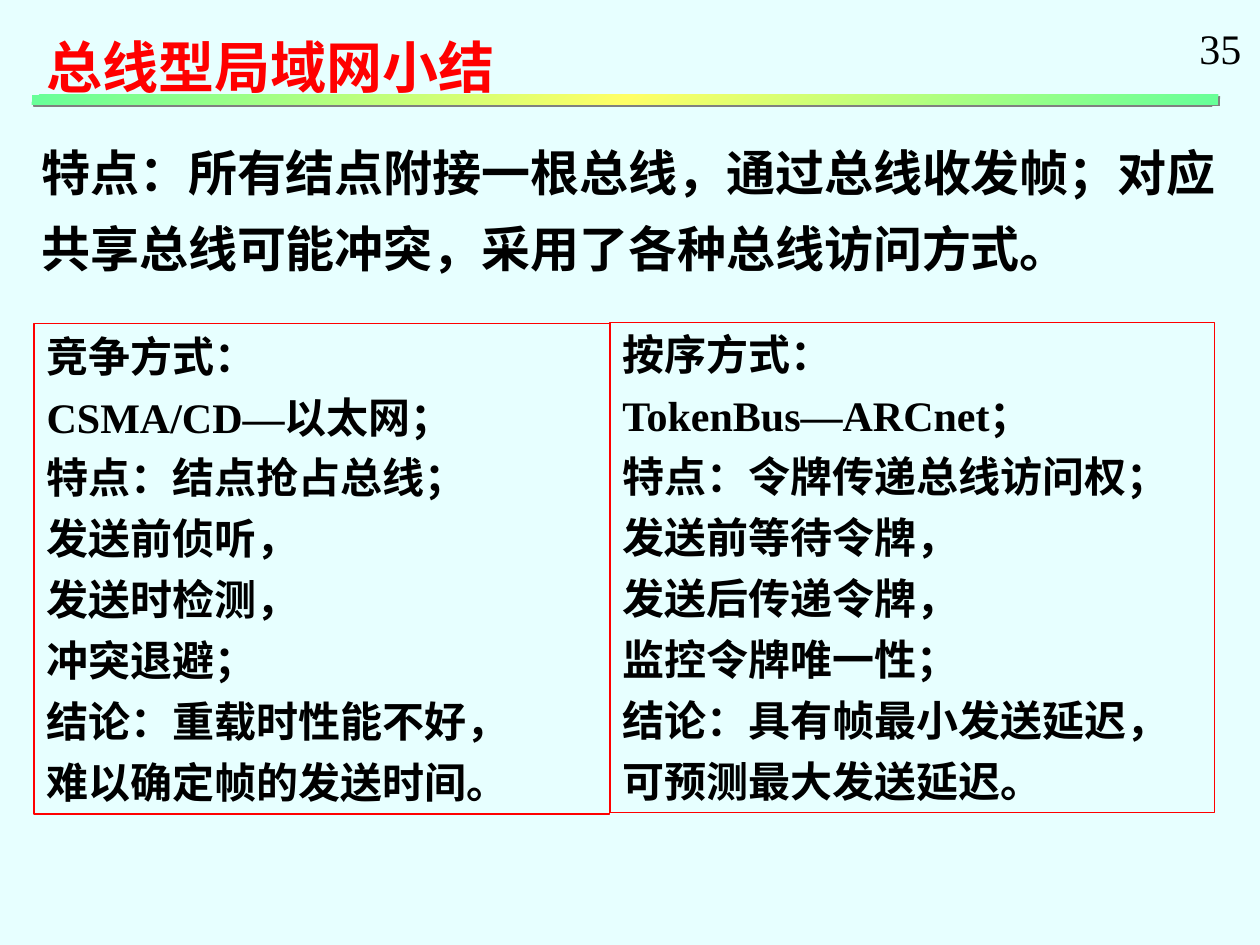
from pptx import Presentation
from pptx.dml.color import RGBColor as RGB
from pptx.enum.text import MSO_ANCHOR as Anchor, MSO_AUTO_SIZE as Auto, PP_ALIGN as Align
from pptx.enum.shapes import MSO_SHAPE as Shape
from pptx.oxml import parse_xml
from pptx.oxml.ns import qn
from pptx.util import Inches, Pt
from lxml.etree import SubElement

TITLE = "总线型局域网小结"
NUMBER = "35"
INTRO = "特点：所有结点附接一根总线，通过总线收发帧；对应共享总线可能冲突，采用了各种总线访问方式。"
METHODS = [
    ["竞争方式：", "CSMA/CD—以太网；", "特点：结点抢占总线；", "发送前侦听，",
     "发送时检测，", "冲突退避；", "结论：重载时性能不好，", "难以确定帧的发送时间。"],
    ["按序方式：", "TokenBus—ARCnet；", "特点：令牌传递总线访问权；", "发送前等待令牌，",
     "发送后传递令牌，", "监控令牌唯一性；", "结论：具有帧最小发送延迟，", "可预测最大发送延迟。"],
]

CJK, LATIN = "Noto Sans CJK SC", "Times New Roman"
THEME = {
    "bg": "E7FFFF", "border": "FF0000", "shadow": "808080",
    "bar": [(0, "66FF99"), (50, "FFFF66"), (100, "66FF99")],
    "title": dict(size=32, name=CJK, color="FF0000", bold=True, spacing=1.3, before=8),
    "intro": dict(size=28, name=CJK, color="000000", bold=True, spacing=1.3, before=7),
    "method": dict(size=24, name=LATIN, color="000000", bold=True, spacing=1.0, before=6),
    "number": dict(size=24, name=LATIN, color="000000", bold=False, spacing=1.0, before=0),
}
A_NS = 'xmlns:a="http://schemas.openxmlformats.org/drawingml/2006/main"'
W, H = 10, 7.5
LEFT, SPLIT, RIGHT = 0.27, 4.84, 9.64
METHOD_TOP, METHOD_H = 2.57, 3.89


def place(s, left, top, width, height):
    for key, value in zip(("left", "top", "width", "height"), (left, top, width, height)):
        setattr(s, key, Inches(value))


def write(s, lines, style, wrap=True):
    tf = s.text_frame
    frame = dict(word_wrap=wrap, auto_size=Auto.NONE, vertical_anchor=Anchor.TOP)
    for key, value in frame.items():
        setattr(tf, key, value)
    tf.text = "\n".join(lines)
    f = THEME[style]
    para = dict(alignment=Align.LEFT, line_spacing=f["spacing"],
                space_before=Pt(f["before"]), space_after=Pt(0))
    for p in tf.paragraphs:
        for key, value in para.items():
            setattr(p, key, value)
        pPr = p._p.get_or_add_pPr()
        pPr.set("marL", "0")
        pPr.set("indent", "0")
        SubElement(pPr, qn("a:buNone"))
        r = p.runs[0]
        for key, value in dict(size=Pt(f["size"]), name=f["name"], bold=f["bold"]).items():
            setattr(r.font, key, value)
        r.font.color.rgb = RGB.from_string(f["color"])
        SubElement(r._r.get_or_add_rPr(), qn("a:ea")).set("typeface", CJK)


def paint_bar(s):
    stops = "".join(f'<a:gs pos="{pos * 1000}"><a:srgbClr val="{color}"/></a:gs>'
                    for pos, color in THEME["bar"])
    spPr = s.element.spPr
    spPr.append(parse_xml(f'<a:gradFill {A_NS} rotWithShape="1"><a:gsLst>{stops}</a:gsLst>'
                          '<a:lin ang="2700000" scaled="1"/></a:gradFill>'))
    s.line.fill.background()
    spPr.append(parse_xml(f'<a:effectLst {A_NS}><a:outerShdw dist="17780" dir="2700000">'
                          f'<a:srgbClr val="{THEME["shadow"]}"/></a:outerShdw></a:effectLst>'))


def main():
    prs = Presentation()
    prs.slide_width, prs.slide_height = Inches(W), Inches(H)
    slide = prs.slides.add_slide(prs.slide_layouts[3])
    slide.background.fill.solid()
    slide.background.fill.fore_color.rgb = RGB.from_string(THEME["bg"])
    title, *bodies = slide.placeholders

    place(title, LEFT, 0.05, 4.41, 0.8)
    write(title, [TITLE], "title")

    bar = slide.shapes.add_shape(Shape.RECTANGLE, 0, 0, 0, 0)
    place(bar, 0.25, 0.75, 9.42, 0.08)
    paint_bar(bar)
    title.element.addprevious(bar.element)

    for s, lines, (x0, x1), top in zip(bodies, METHODS, ((LEFT, SPLIT), (SPLIT, RIGHT)),
                                       (METHOD_TOP, METHOD_TOP - 0.01)):
        place(s, x0, top, x1 - x0, METHOD_H)
        write(s, lines, "method")
        s.line.color.rgb = RGB.from_string(THEME["border"])
        s.line.width = Pt(0.75)

    for text, style, box, wrap in ((INTRO, "intro", (0.23, 0.94, 9.57, 1.32), True),
                                   (NUMBER, "number", (9.42, 0.13, 0.53, 0.5), False)):
        s = slide.shapes.add_textbox(0, 0, 0, 0)
        place(s, *box)
        write(s, [text], style, wrap)

    prs.save("out.pptx")


if __name__ == "__main__":
    main()
